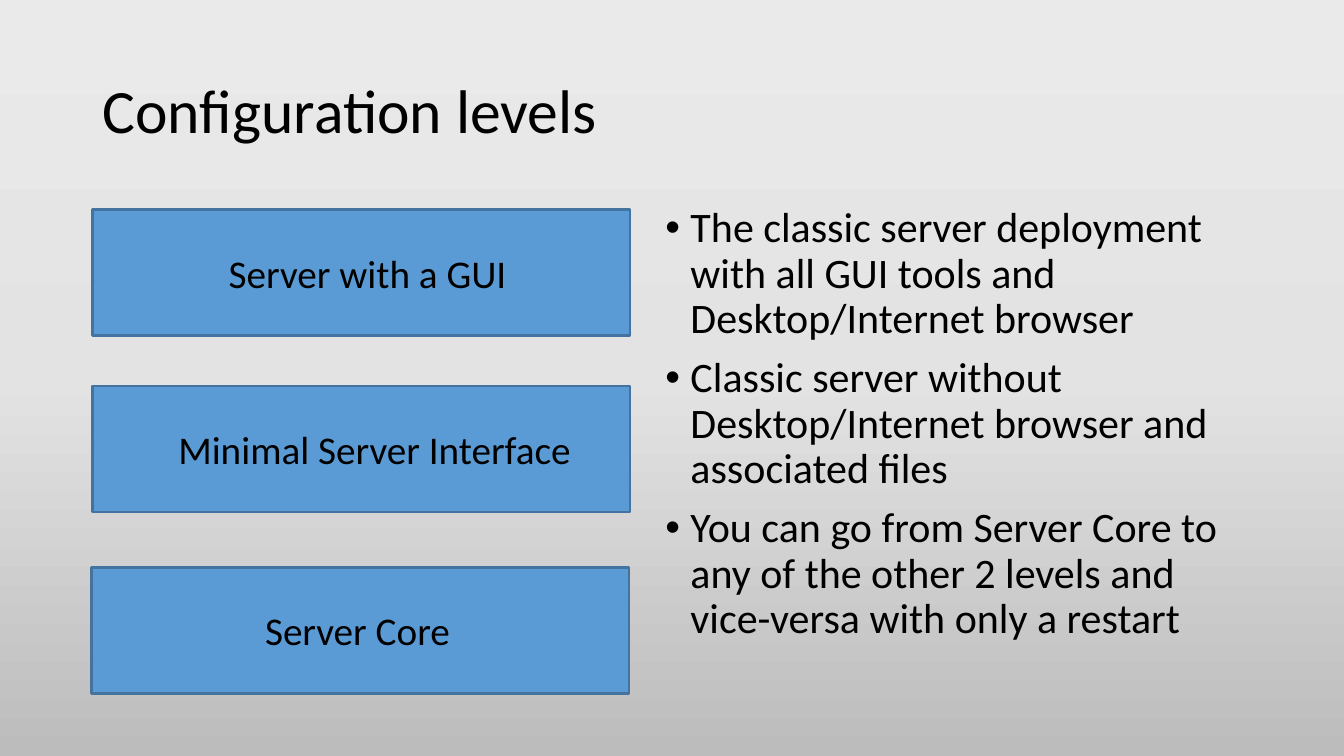
from copy import deepcopy

from lxml.etree import SubElement
from pptx import Presentation
from pptx.dml.color import RGBColor
from pptx.enum.shapes import MSO_SHAPE as Preset
from pptx.enum.text import MSO_ANCHOR as Anchor
from pptx.oxml.ns import qn
from pptx.util import Inches, Pt

BLACK = RGBColor(0x00, 0x00, 0x00)
LEVEL_BLUE = RGBColor(0x5B, 0x9B, 0xD5)
LEVEL_EDGE = RGBColor(0x43, 0x73, 0x9E)
BACKDROP = [
    (0, RGBColor(0xEB, 0xEA, 0xEA)),
    (0.5, RGBColor(0xE4, 0xE3, 0xE3)),
    (1, RGBColor(0xBD, 0xBC, 0xBC)),
]

LEVELS = [
    ("Server with a GUI", (0.92, 2.08), (2.17, 3.75)),
    ("Minimal Server Interface", (0.92, 3.83), (1.67, 4.25)),
    ("Server Core", (0.91, 5.63), (2.53, 2.09)),
]
NOTES = [
    "The classic server deployment with all GUI tools and Desktop/Internet browser",
    "Classic server without Desktop/Internet browser and associated files",
    "You can go from Server Core to any of the other 2 levels and vice-versa with only a restart",
]


class LevelsSlide:
    font = "Calibri"

    def __init__(self, slide):
        self.slide = slide

    def backdrop(self, colours):
        fill = self.slide.background.fill
        fill.gradient()
        fill.gradient_angle = 270
        stops = self.slide.element.find(".//" + qn("a:gsLst"))
        stops.append(deepcopy(stops[-1]))
        for stop, (position, colour) in zip(fill.gradient_stops, colours):
            stop.position = position
            stop.color.rgb = colour

    def text(self, paragraphs, left, top, width, height, size,
             anchor=Anchor.TOP, spacing=None, bulleted=False):
        box = self.slide.shapes.add_textbox(
            Inches(left), Inches(top), Inches(width), Inches(height))
        frame = box.text_frame
        frame.word_wrap = True
        frame.vertical_anchor = anchor
        for index, wording in enumerate(paragraphs):
            paragraph = frame.add_paragraph() if index else frame.paragraphs[0]
            if spacing:
                paragraph.line_spacing = spacing
            if bulleted:
                self.bullet(paragraph)
            run = paragraph.add_run()
            run.text = wording
            run.font.name = self.font
            run.font.size = Pt(size)
            run.font.color.rgb = BLACK

    def bullet(self, paragraph):
        paragraph.space_before = Pt(10)
        properties = paragraph._p.get_or_add_pPr()
        properties.set("marL", str(Inches(0.25)))
        properties.set("indent", str(-Inches(0.25)))
        SubElement(properties, qn("a:buFont"), typeface="Arial")
        SubElement(properties, qn("a:buChar"), char="•")

    def level(self, name, corner, label):
        left, top = corner
        label_left, label_width = label
        bar = self.slide.shapes.add_shape(
            Preset.RECTANGLE, Inches(left), Inches(top), Inches(5.33), Inches(1.25))
        bar.shadow.inherit = False
        bar.fill.solid()
        bar.fill.fore_color.rgb = LEVEL_BLUE
        bar.line.color.rgb = LEVEL_EDGE
        bar.line.width = Pt(2)
        self.text([name], label_left, top + 0.34, label_width, 0.57, 28)


def main():
    deck = Presentation()
    deck.slide_width = Inches(13.33)
    deck.slide_height = Inches(7.5)
    page = LevelsSlide(deck.slides.add_slide(deck.slide_layouts[6]))
    page.backdrop(BACKDROP)
    page.text(["Configuration levels"], 0.92, 0.4, 11.5, 1.45, 44,
              anchor=Anchor.MIDDLE, spacing=0.9)
    page.text(NOTES, 6.5, 2, 5.92, 4.76, 30, spacing=0.9, bulleted=True)
    for name, corner, label in LEVELS:
        page.level(name, corner, label)
    deck.save("out.pptx")


if __name__ == "__main__":
    main()
